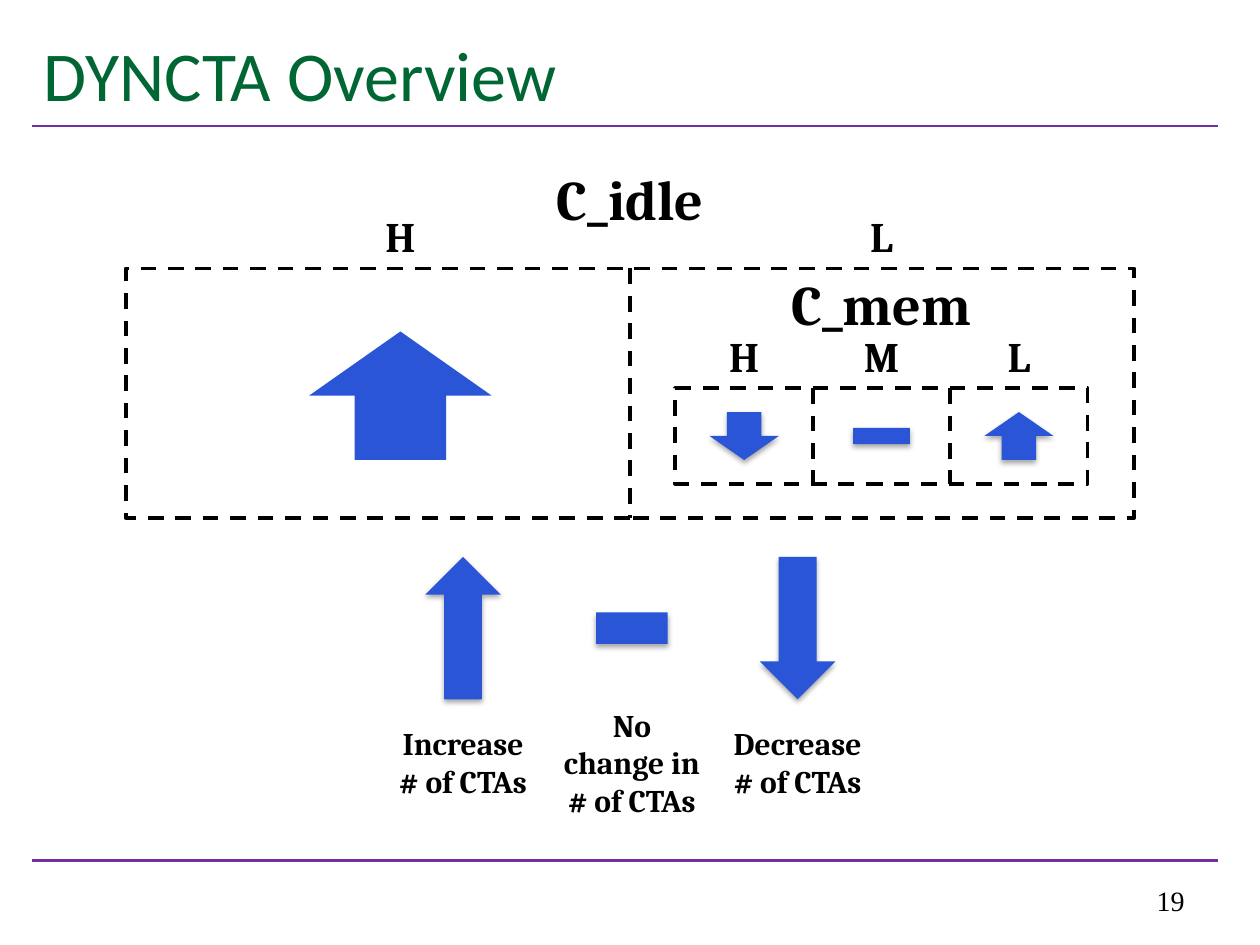
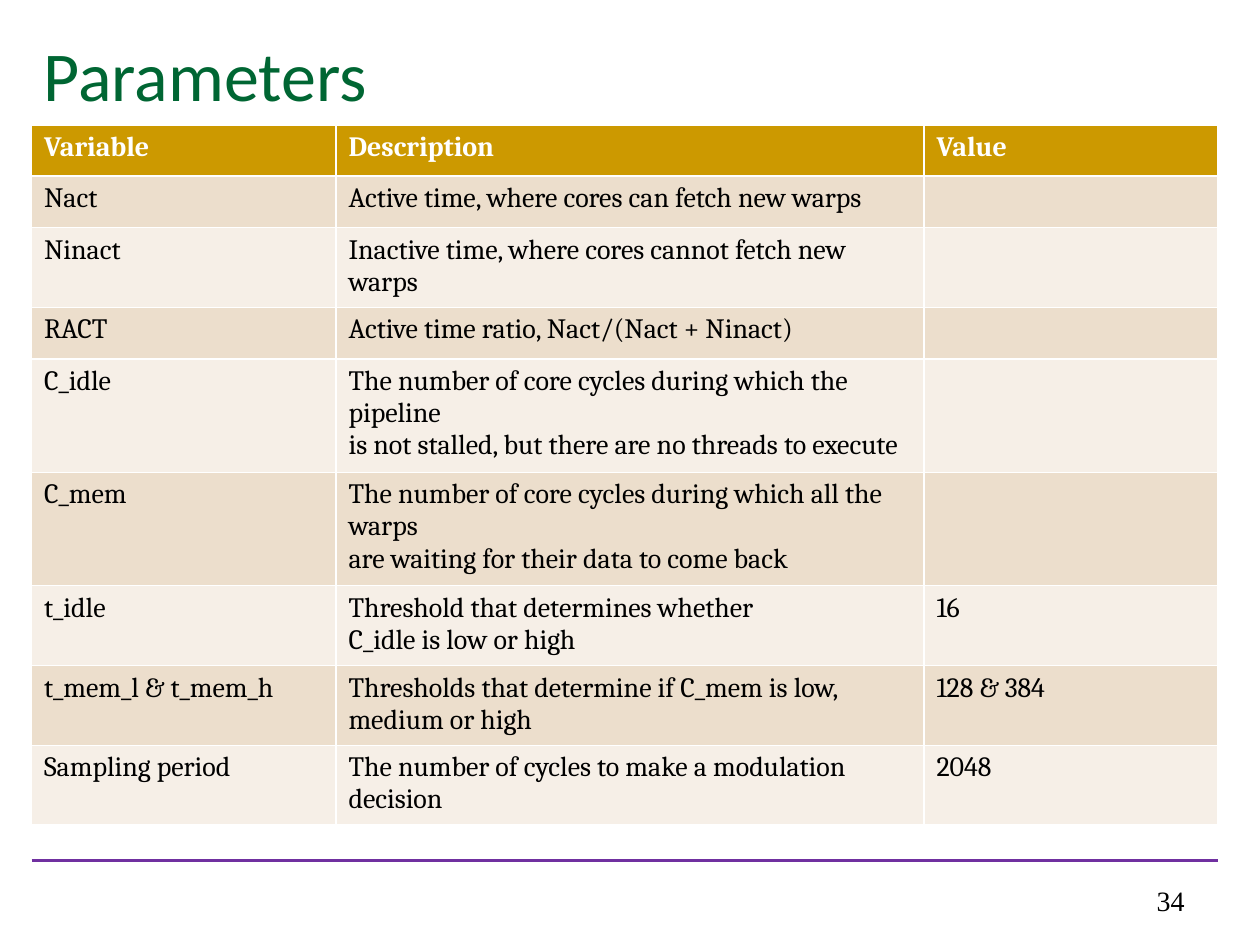
from dataclasses import dataclass

from lxml import etree
from pptx import Presentation
from pptx.dml.color import RGBColor
from pptx.enum.dml import MSO_LINE
from pptx.enum.shapes import MSO_CONNECTOR, MSO_SHAPE
from pptx.enum.text import MSO_ANCHOR, PP_ALIGN
from pptx.oxml import parse_xml
from pptx.oxml.ns import nsdecls, qn
from pptx.util import Pt

STRAIGHT = MSO_CONNECTOR.STRAIGHT
RECT, UP, DOWN = MSO_SHAPE.RECTANGLE, MSO_SHAPE.UP_ARROW, MSO_SHAPE.DOWN_ARROW
DASH = MSO_LINE.DASH
LEFT, CENTER, RIGHT = PP_ALIGN.LEFT, PP_ALIGN.CENTER, PP_ALIGN.RIGHT
MIDDLE, BOTTOM = MSO_ANCHOR.MIDDLE, MSO_ANCHOR.BOTTOM


@dataclass(frozen=True)
class Theme:
    white = RGBColor(0xFF, 0xFF, 0xFF)
    black = RGBColor(0, 0, 0)
    title = RGBColor(0x00, 0x66, 0x33)
    rule = RGBColor(0x70, 0x30, 0xA0)
    arrow = RGBColor(0x2A, 0x55, 0xD6)
    header = RGBColor(0xCC, 0x99, 0x00)
    bands = (RGBColor(0xEC, 0xDE, 0xCC), RGBColor(0xF6, 0xEF, 0xE7))
    title_font, body_font, number_font = "Calibri", "Cambria", "Times New Roman"
    title_size, metric_size, level_size = 40, 32, 24
    caption_size, small_size = 18, 16
    rule_width, dash_width = 1.5, 2.25


T = Theme()
SHADOW = (
    f'<a:effectLst {nsdecls("a")}><a:outerShdw blurRad="{Pt(3.1)}" dist="{Pt(1.8)}" '
    'dir="5400000" rotWithShape="0"><a:srgbClr val="000000"><a:alpha val="35000"/>'
    '</a:srgbClr></a:outerShdw></a:effectLst>'
)


def add_line(s, x1, y1, x2, y2, color, width, dash=None):
    line = s.shapes.add_connector(STRAIGHT, Pt(x1), Pt(y1), Pt(x2), Pt(y2))
    line.line.color.rgb = color
    line.line.width = Pt(width)
    line.line.dash_style = dash
    etree.SubElement(line._element.spPr, qn("a:effectLst"))


def add_text(s, box, text, size, font=T.body_font, color=T.black, bold=True,
             align=CENTER, anchor=MIDDLE):
    tf = s.shapes.add_textbox(*map(Pt, box)).text_frame
    tf.word_wrap = True
    tf.vertical_anchor = anchor
    p = tf.paragraphs[0]
    p.text = text
    p.alignment = align
    p.font.size, p.font.name, p.font.bold = Pt(size), font, bold
    p.font.color.rgb = color


prs = Presentation()
prs.slide_width, prs.slide_height = Pt(720), Pt(540)

# Title, rules and slide number
slides = []
for title, number in (("DYNCTA Overview", "19"), ("Parameters", "34")):
    s = prs.slides.add_slide(prs.slide_layouts[6])
    for y in (72, 491.8):
        add_line(s, 18, y, 696, y, T.rule, T.rule_width)
    add_text(s, (18, 12.2, 678, 59.8), title, T.title_size, T.title_font,
             T.title, False, LEFT)
    add_text(s, (516.2, 491.8, 167.8, 36), number, T.small_size, T.number_font,
             bold=False, align=RIGHT, anchor=BOTTOM)
    slides.append(s)
overview, parameters = slides

# Overview: dashed frames split into equal columns
idle_frame = (72, 153.4, 576, 142.6)
mem_frame = (386, 221.8, 235.5, 54.7)
for (x, y, w, h), columns in ((idle_frame, 2), (mem_frame, 3)):
    frame = overview.shapes.add_shape(RECT, Pt(x), Pt(y), Pt(w), Pt(h))
    frame.shadow.inherit = False
    frame.fill.solid()
    frame.fill.fore_color.rgb = T.white
    frame.line.color.rgb = T.black
    frame.line.width = Pt(T.dash_width)
    frame.line.dash_style = DASH
    for i in range(1, columns):
        divider = x + i * w / columns
        add_line(overview, divider, y, divider, y + h, T.black, T.dash_width, DASH)

# Overview: level and metric labels
mem_x, mem_y, mem_w, mem_h = mem_frame
level_w = mem_w / 3
mem_centers = [mem_x + (i + 0.5) * level_w for i in range(3)]
idle_center, mem_center = 228.8, mem_centers[1]
levels = [(idle_center, 107.3, "H"), (mem_center, 107.3, "L")]
levels += [(cx, 175.7, level) for cx, level in zip(mem_centers, "HML")]
for cx, y, level in levels:
    add_text(overview, (cx - level_w / 2, y, level_w, mem_h), level, T.level_size)
for cx, y, metric in ((360, 74.2, "C_idle"), (mem_center, 133.9, "C_mem")):
    add_text(overview, (cx - mem_w / 2, y, mem_w, 78.5), metric, T.metric_size)

# Overview: decision arrows and their legend, placed by centre
legend = (
    (264.6, UP, 43.2, 81.4, "Increase # of CTAs"),
    (361.1, RECT, 41, 18, "No change in # of CTAs"),
    (455.8, DOWN, 43.2, 81.4, "Decrease # of CTAs"),
)
mem_mid = mem_y + mem_h / 2
arrows = [
    (UP, idle_center, 226.1, 104.4, 73.4, False),
    (DOWN, mem_centers[0], mem_mid, 39.6, 27.4, True),
    (RECT, mem_centers[1], mem_mid, 32.4, 9.4, True),
    (UP, mem_centers[2], mem_mid, 39.6, 27.4, True),
]
for cx, kind, w, h, caption in legend:
    arrows.append((kind, cx, 358.9, w, h, True))
    add_text(overview, (cx - 48.6, 385.2, 97.2, 100.8), caption, T.caption_size)
for kind, cx, cy, w, h, shadowed in arrows:
    arrow = overview.shapes.add_shape(kind, Pt(cx - w / 2), Pt(cy - h / 2), Pt(w), Pt(h))
    arrow.fill.solid()
    arrow.fill.fore_color.rgb = T.arrow
    arrow.line.fill.background()
    if shadowed:
        arrow._element.spPr.append(parse_xml(SHADOW))
    else:
        arrow.shadow.inherit = False

# Parameters: table
rows = (
    ("Variable", "Description", "Value"),
    ("Nact", "Active time, where cores can fetch new warps", ""),
    ("Ninact", "Inactive time, where cores cannot fetch new warps", ""),
    ("RACT", "Active time ratio, Nact/(Nact + Ninact)", ""),
    ("C_idle", "The number of core cycles during which the pipeline\n"
     "is not stalled, but there are no threads to execute", ""),
    ("C_mem", "The number of core cycles during which all the warps\n"
     "are waiting for their data to come back", ""),
    ("t_idle", "Threshold that determines whether\nC_idle is low or high", "16"),
    ("t_mem_l & t_mem_h", "Thresholds that determine if C_mem is low,\nmedium or high",
     "128 & 384"),
    ("Sampling period", "The number of cycles to make a modulation decision", "2048"),
)
row_h = 29.4
table = parameters.shapes.add_table(len(rows), 3, Pt(18), Pt(71.3), Pt(678),
                                    Pt(row_h * len(rows))).table
for column, width in zip(table.columns, (174, 336, 168)):
    column.width = Pt(width)
for i, texts in enumerate(rows):
    table.rows[i].height = Pt(row_h)
    is_header = i == 0
    for cell, text in zip(table.rows[i].cells, texts):
        cell.fill.solid()
        cell.fill.fore_color.rgb = T.header if is_header else T.bands[(i - 1) % 2]
        cell.text = text
        for p in cell.text_frame.paragraphs:
            p.font.size, p.font.name = Pt(T.small_size), T.body_font
            p.font.bold = is_header
            p.font.color.rgb = T.white if is_header else T.black

prs.save("out.pptx")
